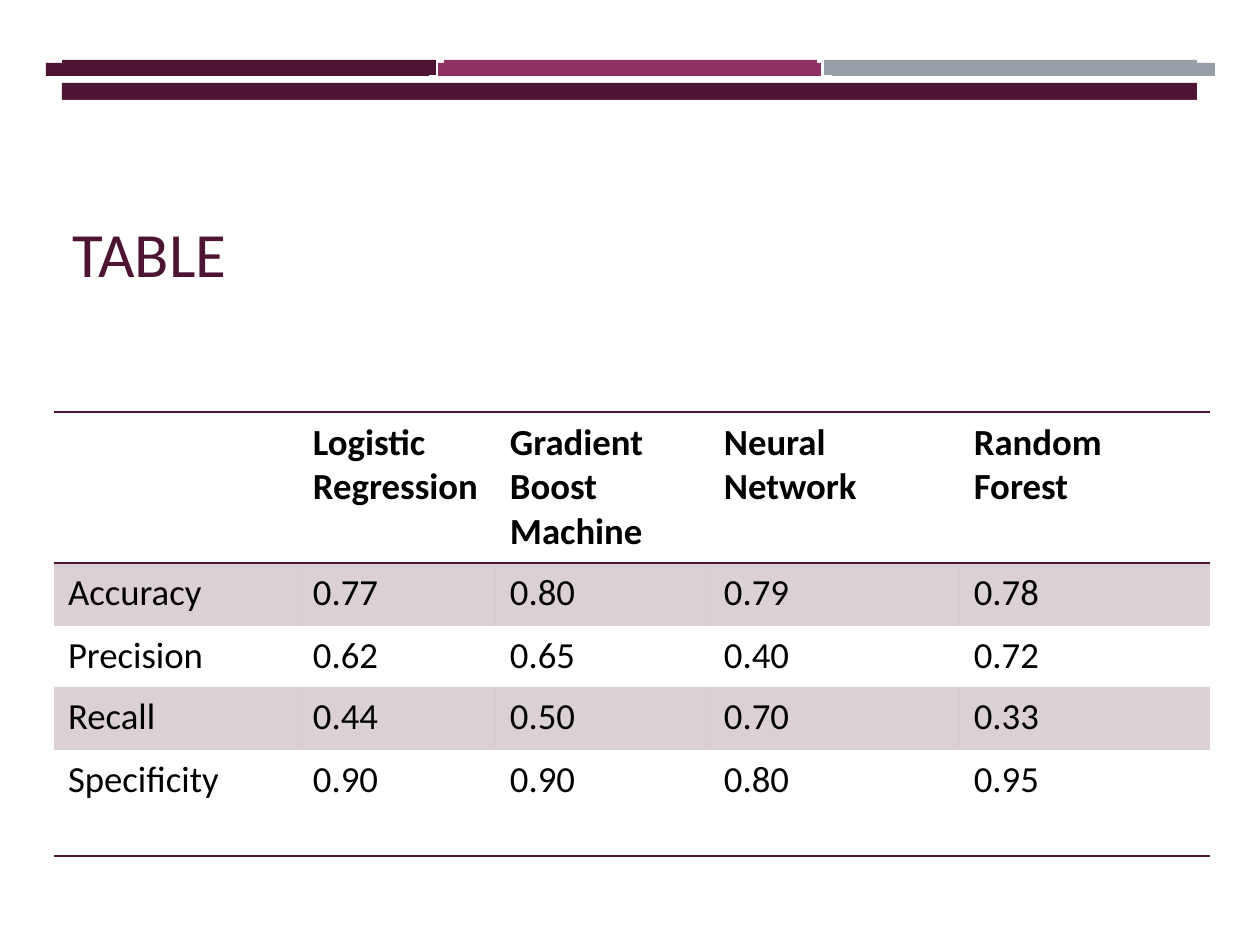
"""Build a slide with a table comparing four classification models."""
from dataclasses import dataclass

import lxml.etree
import pptx
import pptx.dml.color
import pptx.enum.shapes
import pptx.enum.text
import pptx.oxml.ns
import pptx.slide
import pptx.table
import pptx.util

PIXEL = 914400 / 126
FONT = "Calibri"
PLAIN_TABLE_STYLE = "{2D5ABB26-0587-4C30-8999-92F81FD0307C}"
COLORS = {
    "plum": "4D1434",
    "berry": "903163",
    "gray": "969FA7",
    "white": "FFFFFF",
    "black": "000000",
}


@dataclass(frozen=True)
class Panel:
    left: int
    top: int
    width: int
    height: int
    color: str


PANELS = [
    Panel(62, 60, 374, 15, "plum"),
    Panel(824, 60, 373, 15, "gray"),
    Panel(444, 60, 373, 15, "berry"),
    Panel(62, 83, 1135, 174, "plum"),
    Panel(46, 63, 383, 13, "plum"),
    Panel(832, 63, 383, 13, "gray"),
    Panel(438, 63, 383, 13, "berry"),
    Panel(0, 100, 1260, 845, "white"),
]
COLUMN_WIDTHS = [245, 197, 214, 250, 250]
ROW_HEIGHTS = [106, 63, 60, 63, 106]
RESULTS = [
    ["", "Logistic\nRegression", "Gradient Boost Machine", "Neural\nNetwork", "Random Forest"],
    ["Accuracy", "0.77", "0.80", "0.79", "0.78"],
    ["Precision", "0.62", "0.65", "0.40", "0.72"],
    ["Recall", "0.44", "0.50", "0.70", "0.33"],
    ["Specificity", "0.90", "0.90", "0.80", "0.95"],
]


def emu(pixels: int) -> pptx.util.Emu:
    return pptx.util.Emu(round(pixels * PIXEL))


def rgb(color: str) -> pptx.dml.color.RGBColor:
    return pptx.dml.color.RGBColor.from_string(COLORS[color])


def add_element(parent: lxml.etree._Element, tag: str, **attributes: str) -> lxml.etree._Element:
    return lxml.etree.SubElement(parent, pptx.oxml.ns.qn(tag), attributes)


def add_panel(slide: pptx.slide.Slide, panel: Panel) -> None:
    shape = slide.shapes.add_shape(
        pptx.enum.shapes.MSO_SHAPE.RECTANGLE,
        emu(panel.left), emu(panel.top), emu(panel.width), emu(panel.height),
    )
    shape.shadow.inherit = False
    shape.fill.solid()
    shape.fill.fore_color.rgb = rgb(panel.color)
    shape.line.fill.background()


def format_title(slide: pptx.slide.Slide) -> None:
    title = slide.shapes.title
    title.left, title.top, title.width, title.height = emu(60), emu(100), emu(1137), emu(196)
    slide.shapes._spTree.append(title._element)
    frame = title.text_frame
    frame.text = "TABLE"
    frame.word_wrap = True
    frame.auto_size = pptx.enum.text.MSO_AUTO_SIZE.NONE
    frame.vertical_anchor = pptx.enum.text.MSO_ANCHOR.BOTTOM
    paragraph = frame.paragraphs[0]
    paragraph.alignment = pptx.enum.text.PP_ALIGN.LEFT
    paragraph.space_after = pptx.util.Pt(6)
    paragraph.font.name = FONT
    paragraph.font.size = pptx.util.Pt(36)
    paragraph.font.color.rgb = rgb("plum")


def add_border(cell: pptx.table._Cell, side: str) -> None:
    line = add_element(cell._tc.get_or_add_tcPr(), f"a:ln{side}", w=str(pptx.util.Pt(1)))
    add_element(add_element(line, "a:solidFill"), "a:srgbClr", val=COLORS["plum"])


def format_cell(cell: pptx.table._Cell, text: str, row: int) -> None:
    cell.text = text
    cell.margin_left = cell.margin_right = emu(14)
    cell.margin_top = cell.margin_bottom = emu(8)
    for paragraph in cell.text_frame.paragraphs:
        paragraph.font.name = FONT
        paragraph.font.size = pptx.util.Pt(21)
        paragraph.font.bold = row == 0
        paragraph.font.color.rgb = rgb("black")
    if row == 0:
        add_border(cell, "T")
    if row in (0, len(RESULTS) - 1):
        add_border(cell, "B")
    if row % 2:
        cell.fill.solid()
        cell.fill.fore_color.rgb = rgb("plum")
        color = cell._tc.tcPr.find(".//" + pptx.oxml.ns.qn("a:srgbClr"))
        add_element(color, "a:alpha", val="20000")
    else:
        cell.fill.background()


def add_results_table(slide: pptx.slide.Slide) -> None:
    table = slide.shapes.add_table(
        len(ROW_HEIGHTS), len(COLUMN_WIDTHS),
        emu(54), emu(412), emu(sum(COLUMN_WIDTHS)), emu(sum(ROW_HEIGHTS)),
    ).table
    table._tbl.tblPr.find(pptx.oxml.ns.qn("a:tableStyleId")).text = PLAIN_TABLE_STYLE
    for column, width in zip(table.columns, COLUMN_WIDTHS):
        column.width = emu(width)
    for row, height in zip(table.rows, ROW_HEIGHTS):
        row.height = emu(height)
    for row_index, texts in enumerate(RESULTS):
        for column_index, text in enumerate(texts):
            format_cell(table.cell(row_index, column_index), text, row_index)


def main() -> None:
    presentation = pptx.Presentation()
    presentation.slide_width = emu(1260)
    presentation.slide_height = emu(945)
    slide = presentation.slides.add_slide(presentation.slide_layouts[5])
    for panel in PANELS:
        add_panel(slide, panel)
    format_title(slide)
    add_results_table(slide)
    presentation.save("out.pptx")


main()
